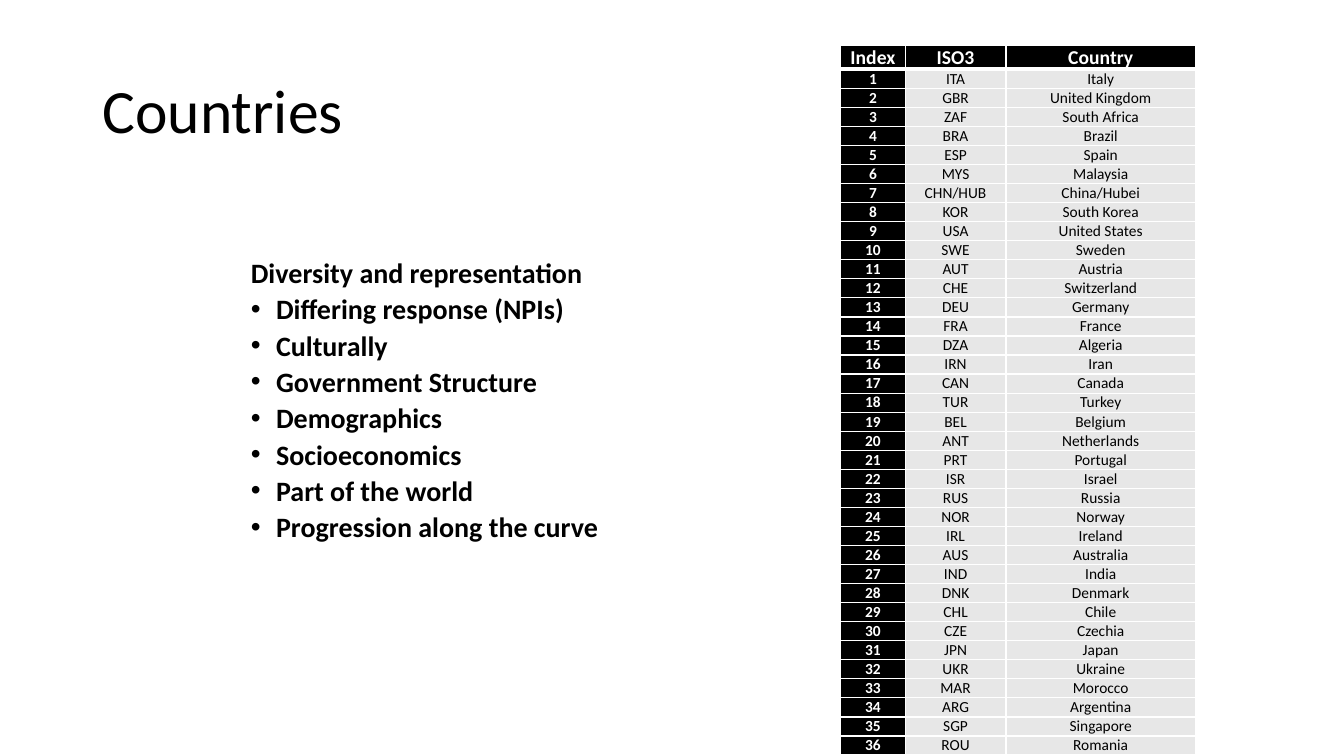
"""Build a slide that lists the chosen countries beside the reasons for choosing them."""
from dataclasses import dataclass

from lxml.etree import SubElement
from pptx import Presentation
from pptx.dml.color import RGBColor
from pptx.enum.text import MSO_ANCHOR as Anchor, MSO_AUTO_SIZE as AutoSize, PP_ALIGN as Align
from pptx.oxml.ns import qn
from pptx.util import Pt

FONT = "Calibri"
BLACK, WHITE, GREY = "000000", "FFFFFF", "E7E7E7"
HEADER_HEIGHT, ROW_HEIGHT = 17.1, 13.6
TABLE_LEFT, TABLE_TOP = 600.5, 32.4


@dataclass(frozen=True)
class Column:
    heading: str
    width: float
    fill: str
    color: str
    bold: bool
    anchor: Anchor


COLUMNS = (
    Column("Index", 46.1, BLACK, WHITE, True, Anchor.BOTTOM),
    Column("ISO3", 72, GREY, BLACK, False, Anchor.BOTTOM),
    Column("Country", 135.3, GREY, BLACK, False, Anchor.MIDDLE),
)

COUNTRIES = (
    ("ITA", "Italy"), ("GBR", "United Kingdom"), ("ZAF", "South Africa"),
    ("BRA", "Brazil"), ("ESP", "Spain"), ("MYS", "Malaysia"),
    ("CHN/HUB", "China/Hubei"), ("KOR", "South Korea"), ("USA", "United States"),
    ("SWE", "Sweden"), ("AUT", "Austria"), ("CHE", "Switzerland"),
    ("DEU", "Germany"), ("FRA", "France"), ("DZA", "Algeria"),
    ("IRN", "Iran"), ("CAN", "Canada"), ("TUR", "Turkey"),
    ("BEL", "Belgium"), ("ANT", "Netherlands"), ("PRT", "Portugal"),
    ("ISR", "Israel"), ("RUS", "Russia"), ("NOR", "Norway"),
    ("IRL", "Ireland"), ("AUS", "Australia"), ("IND", "India"),
    ("DNK", "Denmark"), ("CHL", "Chile"), ("CZE", "Czechia"),
    ("JPN", "Japan"), ("UKR", "Ukraine"), ("MAR", "Morocco"),
    ("ARG", "Argentina"), ("SGP", "Singapore"), ("ROU", "Romania"),
)

REASONS_HEADING = "Diversity and representation"
REASONS = (
    "Differing response (NPIs)", "Culturally", "Government Structure", "Demographics",
    "Socioeconomics", "Part of the world", "Progression along the curve",
)


def rgb(color: str) -> RGBColor:
    return RGBColor.from_string(color)


def write(paragraph, text: str, *, size: float, color: str = BLACK, bold: bool = False,
          align: Align = Align.LEFT, line_spacing: float = 1.0) -> None:
    paragraph.alignment = align
    paragraph.line_spacing = line_spacing
    paragraph.space_before = paragraph.space_after = Pt(0)
    run = paragraph.add_run()
    run.text = text
    run.font.name = FONT
    run.font.size = Pt(size)
    run.font.bold = bold
    run.font.color.rgb = rgb(color)


def add_bullet(paragraph, indent: float) -> None:
    properties = paragraph._p.get_or_add_pPr()
    properties.set("marL", str(Pt(indent)))
    properties.set("indent", str(-Pt(indent)))
    SubElement(properties, qn("a:buFont"), typeface="Arial")
    SubElement(properties, qn("a:buChar"), char="•")


def add_borders(cell, top: float, bottom: float) -> None:
    properties = cell._tc.get_or_add_tcPr()
    for side, width in (("L", 1), ("R", 1), ("T", top), ("B", bottom)):
        line = SubElement(properties, qn(f"a:ln{side}"), w=str(Pt(width)))
        SubElement(SubElement(line, qn("a:solidFill")), qn("a:srgbClr"), val=WHITE)


def format_cell(cell, text: str, *, fill: str, color: str, bold: bool, size: float,
                anchor: Anchor, top: float = 1, bottom: float = 1) -> None:
    add_borders(cell, top, bottom)
    cell.fill.solid()
    cell.fill.fore_color.rgb = rgb(fill)
    cell.margin_left = cell.margin_right = Pt(0.5)
    cell.margin_top = cell.margin_bottom = Pt(0)
    cell.vertical_anchor = anchor
    write(cell.text_frame.paragraphs[0], text, size=size, color=color, bold=bold,
          align=Align.CENTER)


def add_title(slide, text: str) -> None:
    title = slide.shapes.title
    title.left, title.top, title.width, title.height = Pt(66), Pt(28.8), Pt(828), Pt(104.4)
    title.text_frame.vertical_anchor = Anchor.MIDDLE
    write(title.text_frame.paragraphs[0], text, size=44, line_spacing=0.9)


def add_country_table(slide) -> None:
    width = sum(column.width for column in COLUMNS)
    height = HEADER_HEIGHT + ROW_HEIGHT * len(COUNTRIES)
    table = slide.shapes.add_table(len(COUNTRIES) + 1, len(COLUMNS), Pt(TABLE_LEFT),
                                   Pt(TABLE_TOP), Pt(width), Pt(height)).table
    table.horz_banding = False
    for row in table.rows:
        row.height = Pt(ROW_HEIGHT)
    table.rows[0].height = Pt(HEADER_HEIGHT)
    for position, column in enumerate(COLUMNS):
        table.columns[position].width = Pt(column.width)
        format_cell(table.cell(0, position), column.heading, fill=BLACK, color=WHITE,
                    bold=True, size=14, anchor=Anchor.MIDDLE, bottom=3)
    for index, country in enumerate(COUNTRIES, start=1):
        for position, (column, text) in enumerate(zip(COLUMNS, (str(index), *country))):
            format_cell(table.cell(index, position), text, fill=column.fill,
                        color=column.color, bold=column.bold, size=11,
                        anchor=column.anchor, top=3 if index == 1 else 1)


def add_reasons(slide) -> None:
    box = slide.shapes.add_textbox(Pt(172.1), Pt(177.1), Pt(337.7), Pt(240.5))
    frame = box.text_frame
    frame.word_wrap = True
    frame.auto_size = AutoSize.TEXT_TO_FIT_SHAPE
    write(frame.paragraphs[0], REASONS_HEADING, size=20, bold=True, line_spacing=1.2)
    for reason in REASONS:
        paragraph = frame.add_paragraph()
        add_bullet(paragraph, 18)
        write(paragraph, reason, size=20, bold=True, line_spacing=1.2)


def main() -> None:
    presentation = Presentation()
    presentation.slide_width, presentation.slide_height = Pt(960), Pt(540)
    slide = presentation.slides.add_slide(presentation.slide_layouts.get_by_name("Title Only"))
    add_title(slide, "Countries")
    add_country_table(slide)
    add_reasons(slide)
    presentation.save("out.pptx")


if __name__ == "__main__":
    main()
